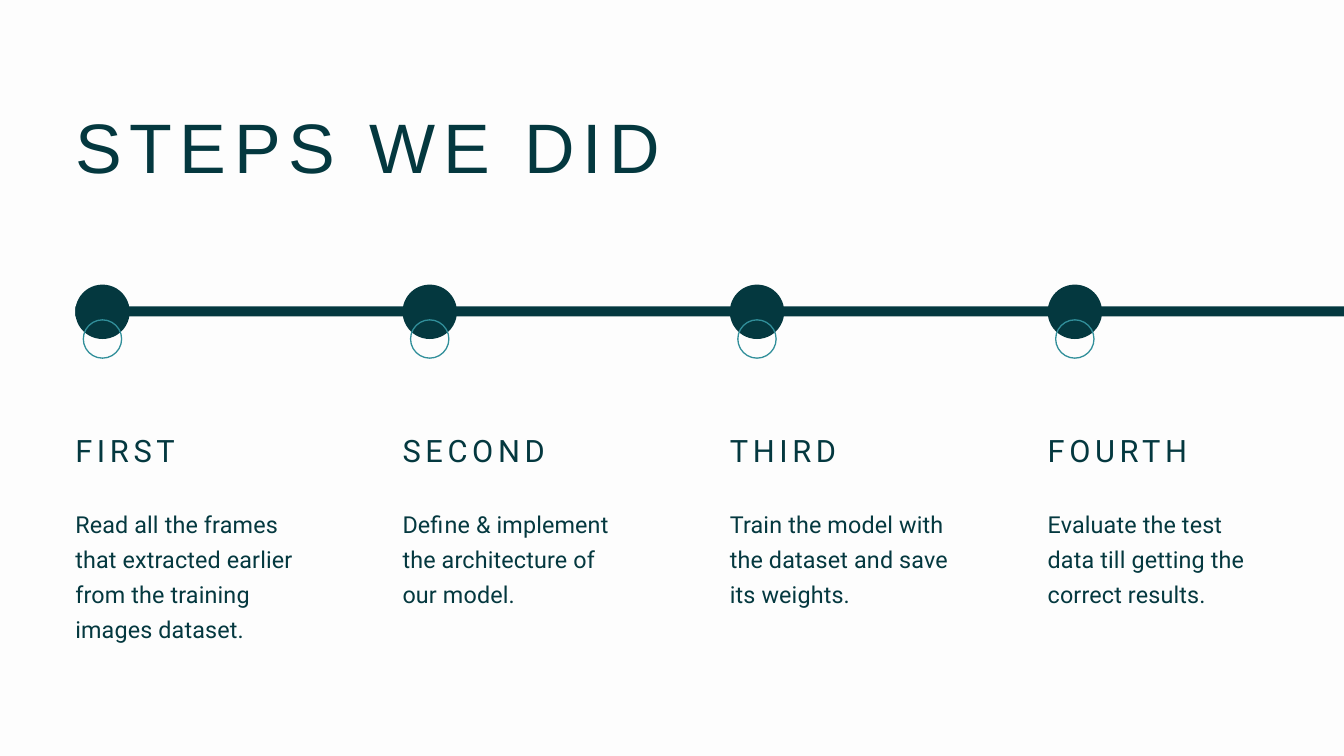
from typing import NamedTuple

from pptx import Presentation
from pptx.dml.color import RGBColor
from pptx.enum.shapes import MSO_SHAPE
from pptx.enum.text import MSO_ANCHOR, MSO_AUTO_SIZE, PP_ALIGN
from pptx.util import Inches, Pt

WIDTH, HEIGHT = 20, 11.25
MARGIN = 1.12
COLUMN_PITCH = 4.87
COLUMN_W = 3.29
AXIS_Y = 4.64
DISC, RING = 0.81, 0.57
DARK, TEAL, PAPER = "04383F", "318F9A", "FDFDFD"


class Style(NamedTuple):
    font: str
    size: float
    leading: float
    tracking: float


class Step(NamedTuple):
    left: float
    name: str
    text: str


TITLE = Style("Arial", 75, 105, 8.2)
HEADING = Style("Roboto", 33, 46.2, 5)
BODY = Style("Roboto", 25, 37.5, 0.2)

STEPS = [
    Step(MARGIN, "FIRST",
         "Read all the frames that extracted earlier from the training images dataset."),
    Step(MARGIN + COLUMN_PITCH, "SECOND",
         "Define & implement the architecture of our model."),
    Step(MARGIN + 2 * COLUMN_PITCH, "THIRD",
         "Train the model with the dataset and save its weights."),
    # The last column stands a little closer than the others
    Step(15.59, "FOURTH",
         "Evaluate the test data till getting the correct results."),
]


def rgb(color: str) -> RGBColor:
    return RGBColor.from_string(color)


def place(sp, left: float, top: float, width: float, height: float) -> None:
    sp.left, sp.top = Inches(left), Inches(top)
    sp.width, sp.height = Inches(width), Inches(height)


def write(sp, text: str, style: Style) -> None:
    tf = sp.text_frame
    tf.word_wrap = True
    tf.auto_size = MSO_AUTO_SIZE.NONE
    tf.vertical_anchor = MSO_ANCHOR.TOP
    tf.margin_left = tf.margin_top = tf.margin_right = tf.margin_bottom = 0
    p = tf.paragraphs[0]
    p.alignment = PP_ALIGN.LEFT
    p.line_spacing = Pt(style.leading)
    p.font.name, p.font.size = style.font, Pt(style.size)
    p.font.color.rgb = rgb(DARK)
    r = p.add_run()
    r.text = text
    r._r.get_or_add_rPr().set("spc", str(round(style.tracking * 100)))


def add_text(s, left: float, top: float, height: float, text: str, style: Style) -> None:
    sp = s.shapes.add_textbox(0, 0, 0, 0)
    place(sp, left, top, COLUMN_W, height)
    write(sp, text, style)


def add_solid(s, kind: MSO_SHAPE, left: float, top: float, width: float, height: float):
    sp = s.shapes.add_shape(kind, 0, 0, 0, 0)
    place(sp, left, top, width, height)
    sp.shadow.inherit = False
    sp.fill.solid()
    sp.fill.fore_color.rgb = rgb(DARK)
    sp.line.fill.background()
    return sp


def add_marker(s, left: float) -> None:
    """A disc on the axis with a thin ring centred on its lowest point."""
    add_solid(s, MSO_SHAPE.OVAL, left, AXIS_Y - DISC / 2, DISC, DISC)
    ring = add_solid(s, MSO_SHAPE.OVAL, left + (DISC - RING) / 2,
                     AXIS_Y + (DISC - RING) / 2, RING, RING)
    ring.fill.background()
    ring.line.color.rgb = rgb(TEAL)
    ring.line.width = Pt(1.4)


def add_step(s, step: Step) -> None:
    add_marker(s, step.left)
    add_text(s, step.left, 6.33, 0.6, step.name, HEADING)
    add_text(s, step.left, 7.49, 2.04, step.text, BODY)


def main() -> None:
    prs = Presentation()
    prs.slide_width, prs.slide_height = Inches(WIDTH), Inches(HEIGHT)
    s = prs.slides.add_slide(prs.slide_layouts[5])
    s.background.fill.solid()
    s.background.fill.fore_color.rgb = rgb(PAPER)

    place(s.shapes.title, MARGIN, 1.33, 17.01, 1.41)
    write(s.shapes.title, "STEPS WE DID", TITLE)
    add_solid(s, MSO_SHAPE.RECTANGLE, MARGIN, 4.56, WIDTH - MARGIN, 0.15)
    for step in STEPS:
        add_step(s, step)
    prs.save("out.pptx")


if __name__ == "__main__":
    main()
